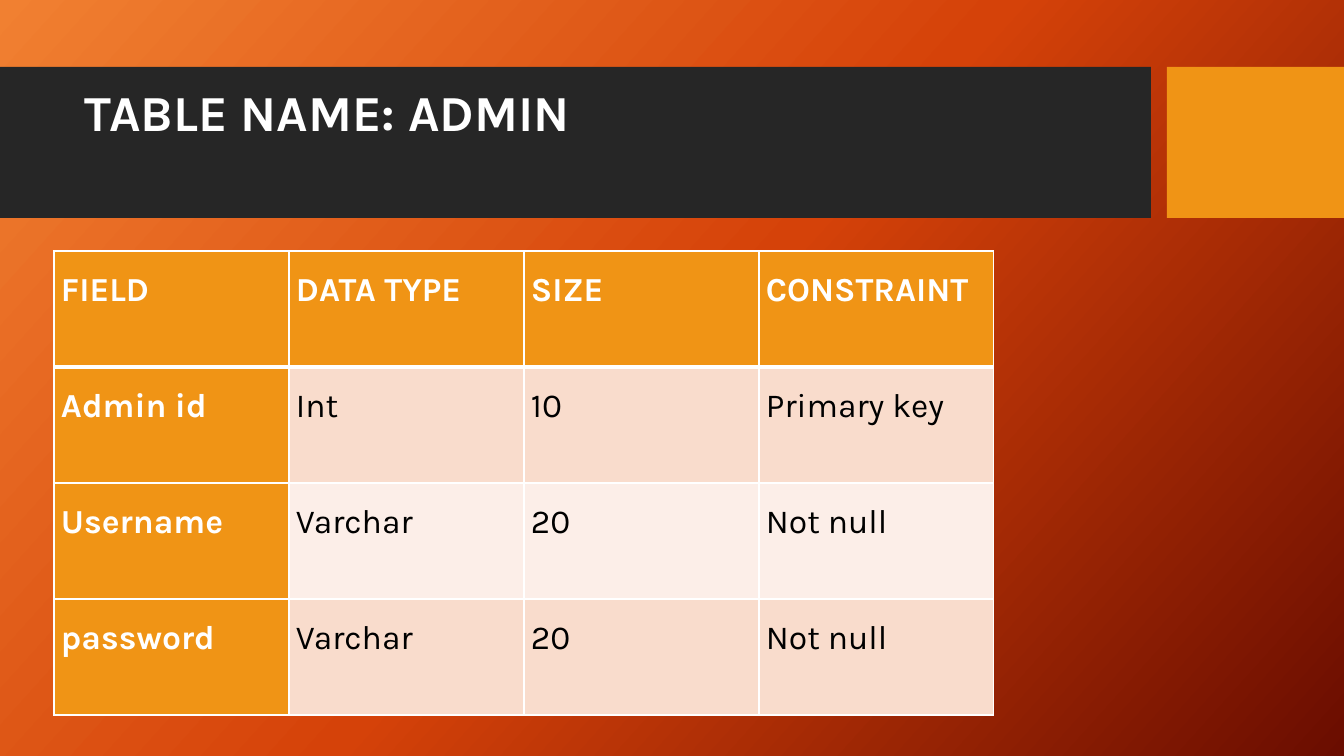
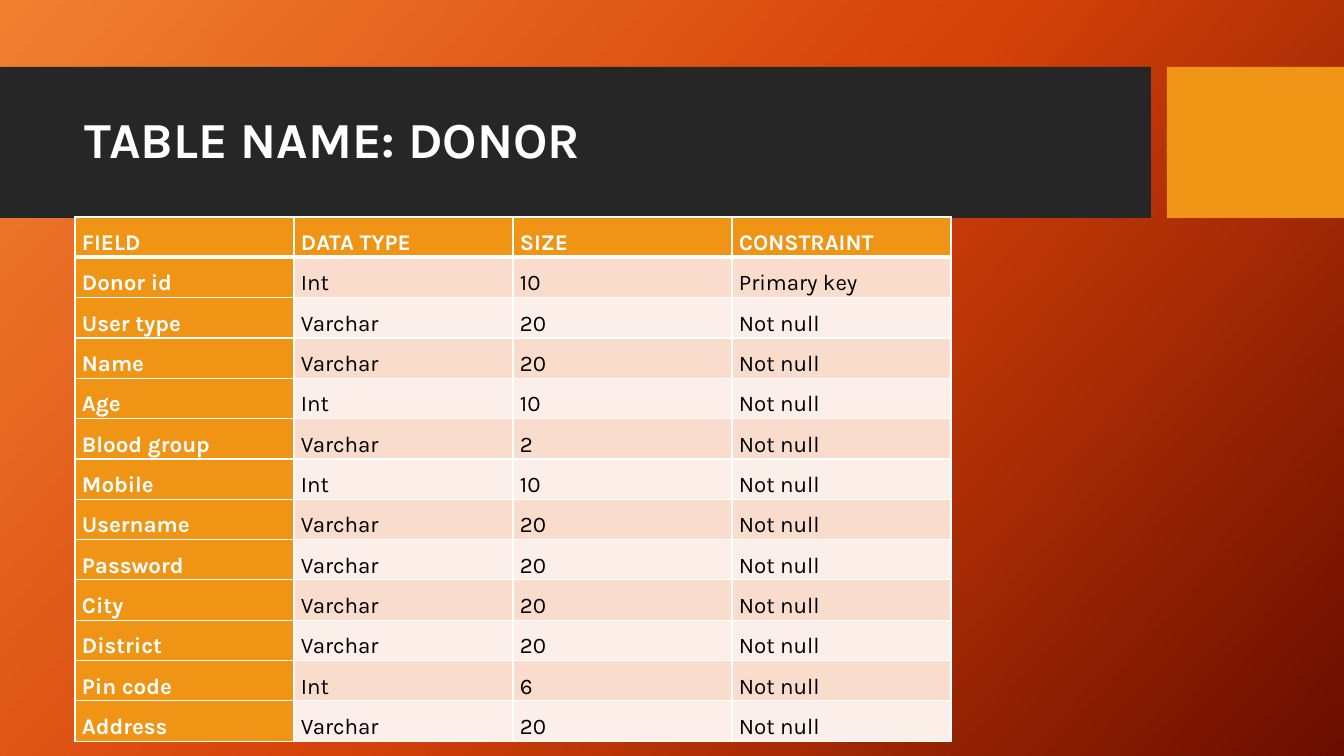
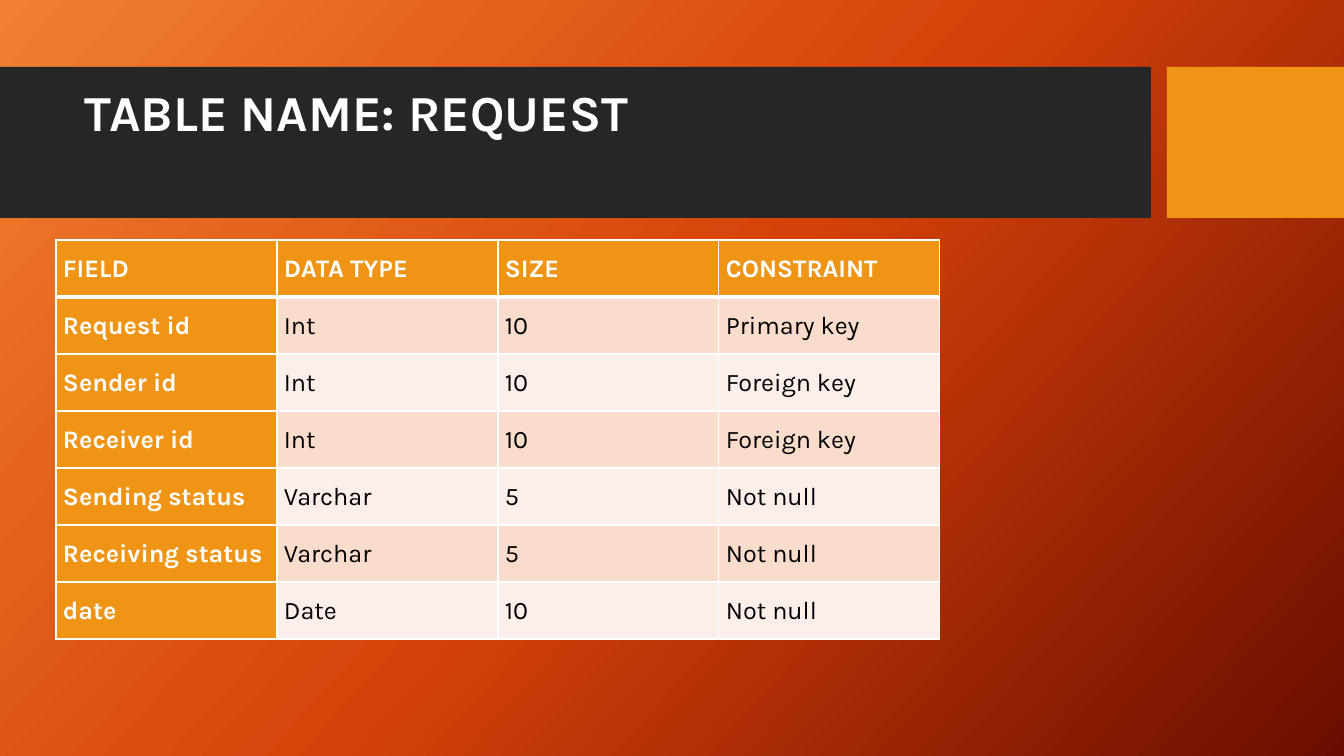
from copy import deepcopy
from dataclasses import dataclass

from lxml import etree
from pptx import Presentation
from pptx.dml.color import RGBColor
from pptx.enum import shapes, text
from pptx.oxml.ns import qn
from pptx.slide import Slide
from pptx.table import _Cell
from pptx.text.text import _Paragraph
from pptx.util import Emu, Pt

EMU_PER_PX = 914400 / 100.8
FONT = "Karla"
COLORS = {
    "band": "262626",
    "accent": "F09415",
    "odd_row": "F9DCCC",
    "even_row": "FCEEE8",
    "white": "FFFFFF",
    "black": "000000",
}
BACKGROUND = ((0, "F18031"), (0.5, "D54209"), (1, "6A0D00"))
HEADINGS = ("FIELD", "DATA TYPE", "SIZE", "CONSTRAINT")
Row = tuple[str, str, str, str]


@dataclass(frozen=True)
class Band:
    left: int
    width: int
    color: str


@dataclass(frozen=True)
class TableSlide:
    title: str
    title_anchor: text.MSO_ANCHOR
    left: int
    top: int
    col_width: int
    row_height: int
    font_size: int
    rows: tuple[Row, ...]


BANDS = (Band(0, 1151, "band"), Band(1167, 177, "accent"))
TABLE_SLIDES = (
    TableSlide("TABLE NAME: ADMIN", text.MSO_ANCHOR.TOP, 54, 251, 235, 116, 24, (
        ("Admin id", "Int", "10", "Primary key"),
        ("Username", "Varchar", "20", "Not null"),
        ("password", "Varchar", "20", "Not null"),
    )),
    TableSlide("TABLE NAME: DONOR", text.MSO_ANCHOR.MIDDLE, 75, 217, 219, 36, 16, (
        ("Donor id", "Int", "10", "Primary key"),
        ("User type", "Varchar", "20", "Not null"),
        ("Name", "Varchar", "20", "Not null"),
        ("Age", "Int", "10", "Not null"),
        ("Blood group", "Varchar", "2", "Not null"),
        ("Mobile", "Int", "10", "Not null"),
        ("Username", "Varchar", "20", "Not null"),
        ("Password", "Varchar", "20", "Not null"),
        ("City", "Varchar", "20", "Not null"),
        ("District", "Varchar", "20", "Not null"),
        ("Pin code", "Int", "6", "Not null"),
        ("Address", "Varchar", "20", "Not null"),
    )),
    TableSlide("TABLE NAME: REQUEST", text.MSO_ANCHOR.TOP, 56, 240, 221, 57, 18, (
        ("Request id", "Int", "10", "Primary key"),
        ("Sender id", "Int", "10", "Foreign key"),
        ("Receiver id", "Int", "10", "Foreign key"),
        ("Sending status", "Varchar", "5", "Not null"),
        ("Receiving status", "Varchar", "5", "Not null"),
        ("date", "Date", "10", "Not null"),
    )),
)


def px(length: int) -> Emu:
    return Emu(round(length * EMU_PER_PX))


def rgb(name: str) -> RGBColor:
    return RGBColor.from_string(COLORS[name])


def set_background(prs: Presentation) -> None:
    """Give the master the diagonal gradient that every slide inherits."""
    master = prs.slide_master
    fill = master.background.fill
    fill.gradient()
    fill.gradient_angle = 360 - 42
    stop_list = master.element.find(".//" + qn("a:gsLst"))
    stop_list.append(deepcopy(stop_list[0]))
    for stop, (position, color) in zip(fill.gradient_stops, BACKGROUND):
        stop.position = position
        stop.color.rgb = RGBColor.from_string(color)


def write(p: _Paragraph, words: str, size: int, color: str, bold: bool, spacing: float) -> None:
    p.text = words
    p.line_spacing = spacing
    p.font.name = FONT
    p.font.size = Pt(size)
    p.font.bold = bold
    p.font.color.rgb = rgb(color)


def add_band(slide: Slide, band: Band) -> None:
    sp = slide.shapes.add_shape(
        shapes.MSO_SHAPE.RECTANGLE, px(band.left), px(67), px(band.width), px(151))
    sp.shadow.inherit = False
    sp.fill.solid()
    sp.fill.fore_color.rgb = rgb(band.color)
    sp.line.fill.background()


def add_title(slide: Slide, title: str, anchor: text.MSO_ANCHOR) -> None:
    tf = slide.shapes.add_textbox(px(75), px(83), px(1059), px(119)).text_frame
    tf.word_wrap = True
    tf.vertical_anchor = anchor
    write(tf.paragraphs[0], title, 36, "white", True, 0.9)


def set_borders(cell: _Cell, top: int, bottom: int) -> None:
    """Draw white cell borders, 1 pt at the sides, the given points above and below."""
    tc_pr = cell._tc.get_or_add_tcPr()
    for side, width in (("L", 1), ("R", 1), ("T", top), ("B", bottom)):
        ln = etree.SubElement(tc_pr, qn(f"a:ln{side}"), w=str(Pt(width)))
        fill = etree.SubElement(ln, qn("a:solidFill"))
        etree.SubElement(fill, qn("a:srgbClr"), val=COLORS["white"])


def add_field_table(slide: Slide, spec: TableSlide) -> None:
    rows = (HEADINGS, *spec.rows)
    table = slide.shapes.add_table(
        len(rows), len(HEADINGS), px(spec.left), px(spec.top),
        px(spec.col_width * len(HEADINGS)), px(spec.row_height * len(rows))).table
    table.first_col = True
    for column in table.columns:
        column.width = px(spec.col_width)
    for i, row in enumerate(rows):
        table.rows[i].height = px(spec.row_height)
        for j, words in enumerate(row):
            cell = table.cell(i, j)
            heading = i == 0 or j == 0
            cell.margin_left = cell.margin_right = px(7)
            cell.margin_top = cell.margin_bottom = 0
            set_borders(cell, top=3 if i == 1 else 1, bottom=3 if i == 0 else 1)
            cell.fill.solid()
            cell.fill.fore_color.rgb = rgb(
                "accent" if heading else "odd_row" if i % 2 else "even_row")
            write(cell.text_frame.paragraphs[0], words, spec.font_size,
                  "white" if heading else "black", heading, 1.5)


def main() -> None:
    prs = Presentation()
    prs.slide_width, prs.slide_height = px(1344), px(756)
    set_background(prs)
    for spec in TABLE_SLIDES:
        slide = prs.slides.add_slide(prs.slide_layouts[6])
        for band in BANDS:
            add_band(slide, band)
        add_title(slide, spec.title, spec.title_anchor)
        add_field_table(slide, spec)
    prs.save("out.pptx")


if __name__ == "__main__":
    main()
